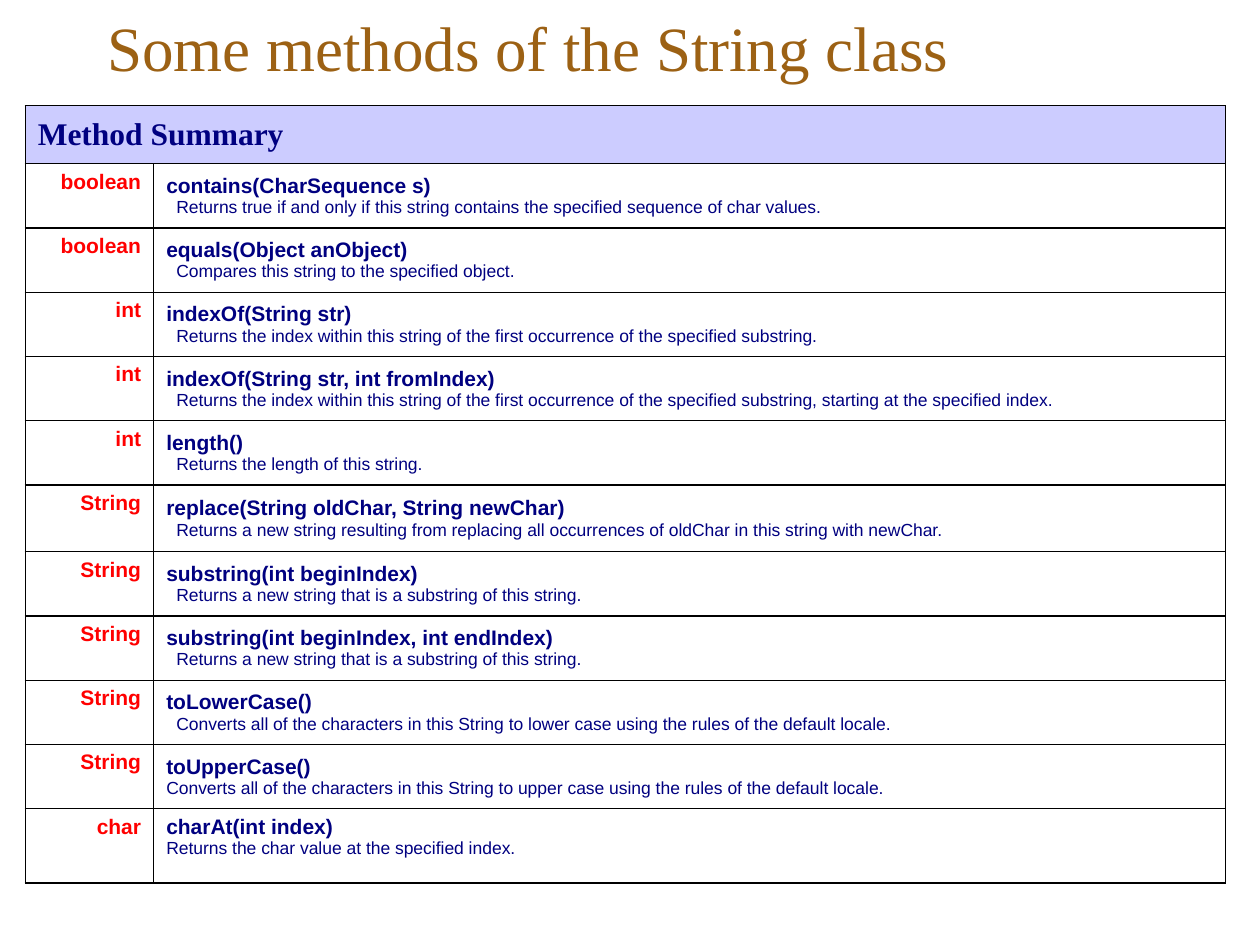
"""Build a slide that lists some methods of the String class in a table."""
from dataclasses import dataclass

from lxml.etree import SubElement
from pptx import Presentation
from pptx.dml.color import RGBColor
from pptx.enum.text import MSO_ANCHOR as Anchor, MSO_AUTO_SIZE as AutoSize, PP_ALIGN as Align
from pptx.oxml.ns import qn
from pptx.slide import Slide
from pptx.table import Table, _Cell as Cell
from pptx.text.text import _Paragraph as Paragraph
from pptx.util import Inches, Pt

SERIF, SANS = "Times New Roman", "Arial"
BROWN, NAVY, RED = "9C6114", "000080", "FF0000"
LAVENDER, WHITE, BLACK = "CCCCFF", "FFFFFF", "000000"
COLUMN_WIDTHS = (1.02, 8.51)
HEADER_HEIGHT = 0.46


@dataclass(frozen=True)
class Method:
    returns: str
    signature: str
    description: str
    indent: float = 0.08
    height: float = 0.51
    anchor: Anchor = Anchor.MIDDLE


METHODS = (
    Method("boolean", "contains(CharSequence s)",
           "Returns true if and only if this string contains the specified sequence of char values."),
    Method("boolean", "equals(Object anObject)", "Compares this string to the specified object."),
    Method("int", "indexOf(String str)",
           "Returns the index within this string of the first occurrence of the specified substring."),
    Method("int", "indexOf(String str, int fromIndex)",
           "Returns the index within this string of the first occurrence of the specified substring, "
           "starting at the specified index."),
    Method("int", "length()", "Returns the length of this string."),
    Method("String", "replace(String oldChar, String newChar)",
           "Returns a new string resulting from replacing all occurrences of oldChar "
           "in this string with newChar.", height=0.53),
    Method("String", "substring(int beginIndex)",
           "Returns a new string that is a substring of this string."),
    Method("String", "substring(int beginIndex, int endIndex)",
           "Returns a new string that is a substring of this string."),
    Method("String", "toLowerCase()",
           "Converts all of the characters in this String to lower case "
           "using the rules of the default locale."),
    Method("String", "toUpperCase()",
           "Converts all of the characters in this String to upper case "
           "using the rules of the default locale.", indent=0),
    Method("char", "charAt(int index)", "Returns the char value at the specified index.",
           indent=0, height=0.59, anchor=Anchor.TOP),
)


def color(value: str) -> RGBColor:
    """Turn a hex string into a colour."""
    return RGBColor.from_string(value)


def add_run(paragraph: Paragraph, text: str, size: float, font: str, hex_color: str,
            bold: bool = False) -> None:
    """Append one formatted run to a paragraph."""
    run = paragraph.add_run()
    run.text = text
    run.font.size = Pt(size)
    run.font.name = font
    run.font.bold = bold
    run.font.color.rgb = color(hex_color)


def format_cell(cell: Cell, fill: str, anchor: Anchor) -> None:
    """Give a cell its borders, fill and anchor."""
    properties = cell._tc.get_or_add_tcPr()
    for side in ("a:lnL", "a:lnR", "a:lnT", "a:lnB"):
        line = SubElement(properties, qn(side), w=str(Pt(0.75)))
        line_fill = SubElement(line, qn("a:solidFill"))
        SubElement(line_fill, qn("a:srgbClr"), val=BLACK)
    cell.fill.solid()
    cell.fill.fore_color.rgb = color(fill)
    cell.vertical_anchor = anchor


def add_title(slide: Slide, text: str) -> None:
    """Place and format the title placeholder."""
    title = slide.shapes.title
    title.left, title.top = Inches(0.75), Inches(0.13)
    title.width, title.height = Inches(8.42), Inches(0.58)
    frame = title.text_frame
    frame.auto_size = AutoSize.NONE
    frame.word_wrap = True
    frame.vertical_anchor = Anchor.BOTTOM
    paragraph = frame.paragraphs[0]
    paragraph.alignment = Align.LEFT
    paragraph.line_spacing = 0.75
    add_run(paragraph, text, 36, SERIF, BROWN)


def fill_header(table: Table, text: str) -> None:
    """Write the heading across the first row."""
    for cell in table.rows[0].cells:
        format_cell(cell, LAVENDER, Anchor.MIDDLE)
    heading = table.cell(0, 0)
    heading.merge(table.cell(0, 1))
    add_run(heading.text_frame.paragraphs[0], text, 18, SERIF, NAVY, bold=True)


def fill_method(table: Table, row: int, method: Method) -> None:
    """Write one method into its row."""
    type_cell, method_cell = table.cell(row, 0), table.cell(row, 1)
    format_cell(type_cell, WHITE, Anchor.TOP)
    format_cell(method_cell, WHITE, method.anchor)
    type_paragraph = type_cell.text_frame.paragraphs[0]
    type_paragraph.alignment = Align.RIGHT
    add_run(type_paragraph, method.returns, 12, SANS, RED, bold=True)
    frame = method_cell.text_frame
    add_run(frame.paragraphs[0], method.signature, 12, SANS, NAVY, bold=True)
    description = frame.add_paragraph()
    description._p.get_or_add_pPr().set("marL", str(Inches(method.indent)))
    add_run(description, method.description, 10, SANS, NAVY)


def add_method_table(slide: Slide) -> None:
    """Add the table of methods."""
    heights = [HEADER_HEIGHT, *(method.height for method in METHODS)]
    table = slide.shapes.add_table(
        len(heights), len(COLUMN_WIDTHS), Inches(0.2), Inches(0.84),
        Inches(sum(COLUMN_WIDTHS)), Inches(sum(heights))).table
    table.first_row = table.horz_banding = False
    for column, width in zip(table.columns, COLUMN_WIDTHS):
        column.width = Inches(width)
    for row, height in zip(table.rows, heights):
        row.height = Inches(height)
    fill_header(table, "Method Summary")
    for row, method in enumerate(METHODS, start=1):
        fill_method(table, row, method)


def main() -> None:
    """Build and save the presentation."""
    presentation = Presentation()
    presentation.slide_width, presentation.slide_height = Inches(10), Inches(7.5)
    slide = presentation.slides.add_slide(presentation.slide_layouts.get_by_name("Title Only"))
    add_title(slide, "Some methods of the String class")
    add_method_table(slide)
    presentation.save("out.pptx")


if __name__ == "__main__":
    main()
